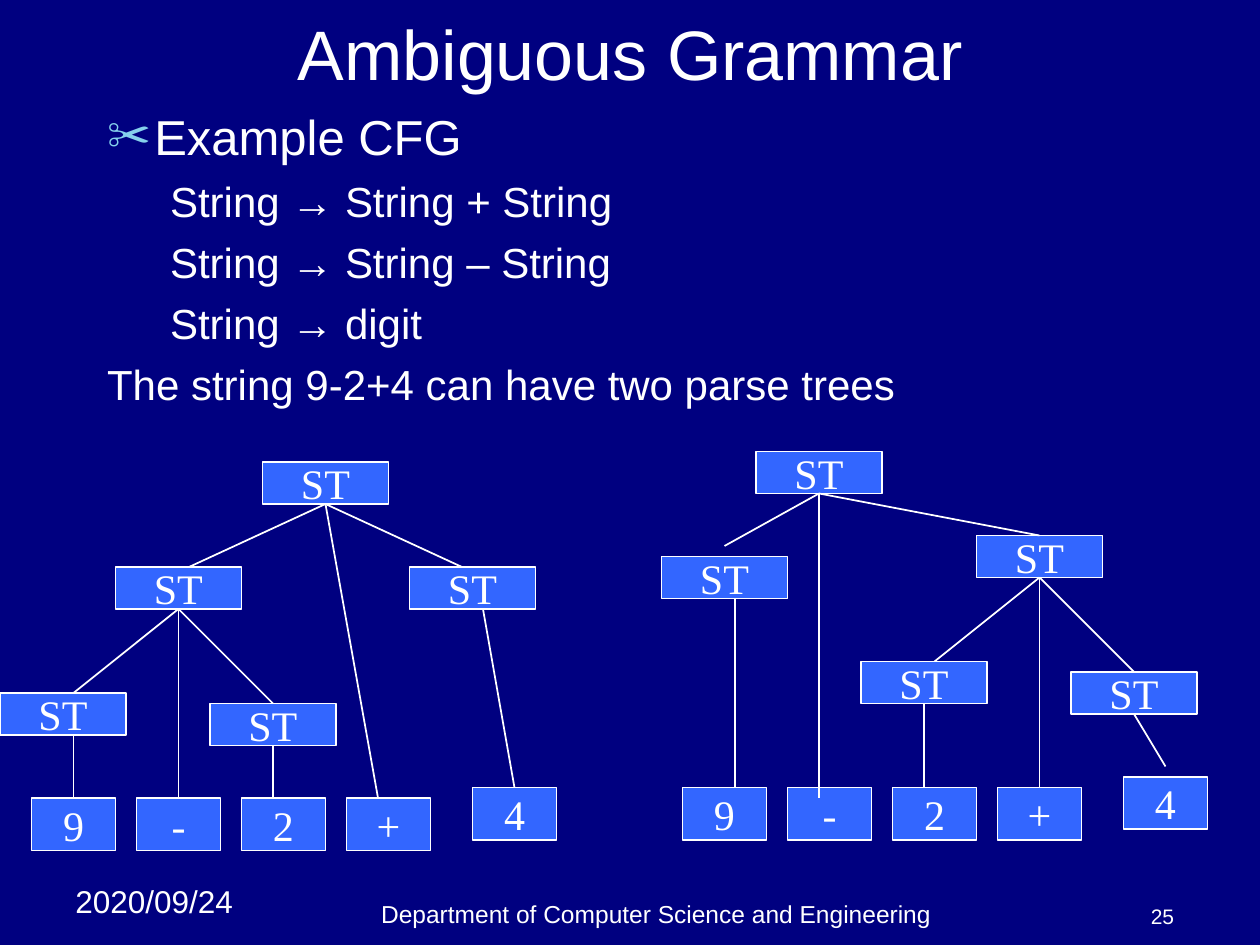
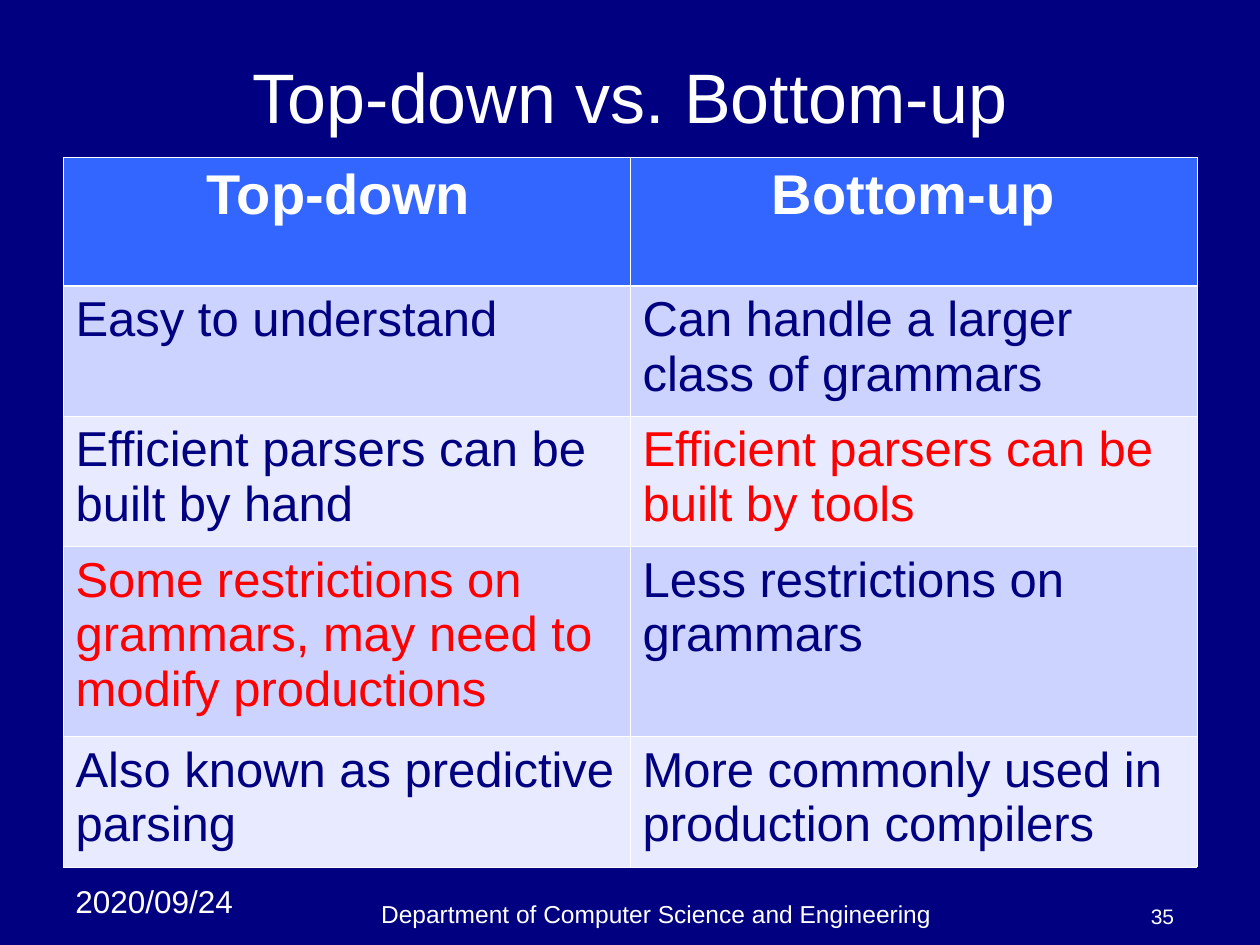
from dataclasses import dataclass

from lxml.etree import SubElement
from pptx import Presentation
from pptx.dml.color import RGBColor
from pptx.enum.shapes import MSO_CONNECTOR, MSO_SHAPE
from pptx.enum.text import MSO_ANCHOR, MSO_AUTO_SIZE, PP_ALIGN
from pptx.oxml.ns import qn
from pptx.util import Pt

NAVY, BLUE, WHITE, RED = "000080", "3366FF", "FFFFFF", "FF0000"
BULLET_BLUE = "86D1EC"
BANDS = ("CDD3FF", "E8EAFF")
TITLE_ONLY, TITLE_AND_BODY = 5, 1
TOP, BOTTOM = 0, 2


@dataclass(frozen=True)
class TextStyle:
    size: float
    color: str = WHITE
    font: str = "Arial"
    bold: bool = False
    align: PP_ALIGN = PP_ALIGN.LEFT


@dataclass(frozen=True)
class FooterPart:
    left: float
    top: float
    width: float
    height: float
    style: TextStyle
    anchor: MSO_ANCHOR = MSO_ANCHOR.BOTTOM


@dataclass(frozen=True)
class Node:
    text: str
    left: float
    top: float

    @property
    def width(self) -> float:
        return 72 if self.text == "ST" else 48

    @property
    def height(self) -> float:
        return 24 if self.text == "ST" else 30

    @property
    def center(self) -> float:
        return self.left + self.width / 2


@dataclass(frozen=True)
class Branch:
    """A line from parent to child; shifts move its ends off the side centres."""
    parent: str
    child: str
    start_shift: float = 0
    end_shift: float = 0
    end_drop: float = 0


@dataclass(frozen=True)
class Line:
    text: str
    size: float
    level: int = 0
    before: float = 6
    bullet: str = ""


TITLE = TextStyle(40, align=PP_ALIGN.CENTER)
NODE = TextStyle(24, font="Times New Roman", align=PP_ALIGN.CENTER)
HEADER = TextStyle(32, bold=True, align=PP_ALIGN.CENTER)
DATE = FooterPart(36, 500.4, 114, 29, TextStyle(18), MSO_ANCHOR.TOP)
DEPARTMENT = FooterPart(132, 510, 486, 24, TextStyle(14, align=PP_ALIGN.CENTER))
NUMBER = FooterPart(630, 510, 48, 24, TextStyle(12, align=PP_ALIGN.RIGHT))

GRAMMAR = (
    Line("Example CFG", 28, before=7, bullet="✂"),
    Line("String → String + String", 24, level=1),
    Line("String → String – String", 24, level=1),
    Line("String → digit", 24, level=1),
    Line("The string 9-2+4 can have two parse trees", 24),
)
# Left margin and first-line indent for each list level
INDENTS = ((27, -27), (58.5, -22.5))

LEFT_NODES = {
    "root": Node("ST", 150, 264),
    "difference": Node("ST", 66, 324),
    "right": Node("ST", 234, 324),
    "first": Node("ST", 0, 396),
    "second": Node("ST", 120, 402),
    "4": Node("4", 270, 450),
}
LEFT_BRANCHES = (
    Branch("root", "difference", end_shift=6),
    Branch("root", "+", end_shift=-6),
    Branch("root", "right", end_shift=-6),
    Branch("difference", "first", end_shift=6),
    Branch("difference", "-"),
    Branch("difference", "second"),
    Branch("first", "9", start_shift=6),
    Branch("second", "2", end_shift=-6),
    Branch("right", "4", start_shift=6),
)
RIGHT_NODES = {
    "root": Node("ST", 432, 258),
    "left": Node("ST", 378, 318),
    "sum": Node("ST", 558, 306),
    "second": Node("ST", 492, 378),
    "third": Node("ST", 612, 384),
    "4": Node("4", 642, 444),
}
RIGHT_BRANCHES = (
    Branch("root", "left", end_drop=-6),
    Branch("root", "sum"),
    Branch("root", "-", end_shift=-6, end_drop=6),
    Branch("left", "9", start_shift=6, end_shift=6),
    Branch("sum", "second", end_shift=6),
    Branch("sum", "+"),
    Branch("sum", "third"),
    Branch("second", "2", end_shift=-6),
    Branch("third", "4", end_drop=-6),
)

COMPARISON = (
    ("Top-down ", "Bottom-up"),
    ("Easy to understand", "Can handle a larger class of grammars"),
    ("Efficient parsers can be built by hand",
     "Efficient parsers can be built by tools"),
    ("Some restrictions on grammars, may need to modify productions",
     "Less restrictions on grammars"),
    ("Also known as predictive parsing",
     "More commonly used in production compilers"),
)
RED_CELLS = {(2, 1), (3, 0)}
ROW_HEIGHTS = (73.5, 74.3, 74.3, 108.5, 74.3)


def color(value: str) -> RGBColor:
    return RGBColor.from_string(value)


def write(para, text: str, style: TextStyle) -> None:
    para.text = text
    para.alignment = style.align
    para.font.size = Pt(style.size)
    para.font.name = style.font
    para.font.bold = style.bold
    para.font.color.rgb = color(style.color)


def place(shape, left: float, top: float, width: float, height: float) -> None:
    shape.left, shape.top = Pt(left), Pt(top)
    shape.width, shape.height = Pt(width), Pt(height)


def add_footer(page, part: FooterPart, text: str) -> None:
    box = page.shapes.add_textbox(
        Pt(part.left), Pt(part.top), Pt(part.width), Pt(part.height))
    box.text_frame.word_wrap = True
    box.text_frame.vertical_anchor = part.anchor
    write(box.text_frame.paragraphs[0], text, part.style)


def add_page(deck, layout: int, title: str, number: int, title_area: tuple):
    page = deck.slides.add_slide(deck.slide_layouts[layout])
    heading = page.shapes.title
    place(heading, *title_area)
    heading.text_frame.auto_size = MSO_AUTO_SIZE.NONE
    heading.text_frame.vertical_anchor = MSO_ANCHOR.MIDDLE
    write(heading.text_frame.paragraphs[0], title, TITLE)
    add_footer(page, DATE, "2020/09/24")
    add_footer(page, DEPARTMENT, "Department of Computer Science and Engineering")
    add_footer(page, NUMBER, str(number))
    return page


def set_bullet(para, line: Line) -> None:
    properties = para._p.get_or_add_pPr()
    margin, indent = INDENTS[line.level]
    properties.set("marL", str(Pt(margin)))
    properties.set("indent", str(Pt(indent)))
    if line.bullet:
        tint = SubElement(properties, qn("a:buClr"))
        SubElement(tint, qn("a:srgbClr"), val=BULLET_BLUE)
        SubElement(properties, qn("a:buSzPct"), val="90000")
        SubElement(properties, qn("a:buChar"), char=line.bullet)
    else:
        SubElement(properties, qn("a:buNone"))


def fill_body(body, lines: tuple[Line, ...]) -> None:
    frame = body.text_frame
    frame.auto_size = MSO_AUTO_SIZE.NONE
    for index, line in enumerate(lines):
        para = frame.add_paragraph() if index else frame.paragraphs[0]
        para.level = line.level
        para.space_before = Pt(line.before)
        set_bullet(para, line)
        write(para, line.text, TextStyle(line.size))


def add_node(page, node: Node):
    box = page.shapes.add_shape(MSO_SHAPE.RECTANGLE, Pt(node.left), Pt(node.top),
                                Pt(node.width), Pt(node.height))
    box.shadow.inherit = False
    box.fill.solid()
    box.fill.fore_color.rgb = color(BLUE)
    box.line.color.rgb = color(WHITE)
    box.line.width = Pt(1)
    box.text_frame.word_wrap = False
    box.text_frame.vertical_anchor = MSO_ANCHOR.MIDDLE
    write(box.text_frame.paragraphs[0], node.text, NODE)
    return box


def add_tree(page, nodes: dict[str, Node], branches: tuple[Branch, ...],
             leaf_left: float, leaf_top: float) -> None:
    # The first four leaves stand in an even row
    leaves = {text: Node(text, leaf_left + 60 * index, leaf_top)
              for index, text in enumerate("9-2+")}
    nodes = nodes | leaves
    boxes = {name: add_node(page, node) for name, node in nodes.items()}
    for branch in branches:
        parent, child = nodes[branch.parent], nodes[branch.child]
        link = page.shapes.add_connector(
            MSO_CONNECTOR.STRAIGHT,
            Pt(parent.center + branch.start_shift), Pt(parent.top + parent.height),
            Pt(child.center + branch.end_shift), Pt(child.top + branch.end_drop))
        link.line.color.rgb = color(WHITE)
        link.line.width = Pt(1)
        SubElement(link._element.spPr, qn("a:effectLst"))
        if not branch.start_shift:
            link.begin_connect(boxes[branch.parent], BOTTOM)
        if not (branch.end_shift or branch.end_drop):
            link.end_connect(boxes[branch.child], TOP)


def set_borders(cell, row: int) -> None:
    widths = {"L": 0.45, "R": 0.45,
              "T": 1.47 if row == 1 else 0.45, "B": 1.47 if row == 0 else 0.45}
    properties = cell._tc.get_or_add_tcPr()
    for side, width in widths.items():
        border = SubElement(properties, qn(f"a:ln{side}"), w=str(Pt(width)))
        SubElement(SubElement(border, qn("a:solidFill")), qn("a:srgbClr"), val=WHITE)


def add_comparison(page) -> None:
    table = page.shapes.add_table(len(COMPARISON), 2, Pt(36), Pt(90),
                                  Pt(648), Pt(sum(ROW_HEIGHTS))).table
    # Drop the banded table style
    table.first_row = table.horz_banding = False
    properties = table._tbl.tblPr
    properties.remove(properties.find(qn("a:tableStyleId")))
    for row, texts in enumerate(COMPARISON):
        table.rows[row].height = Pt(ROW_HEIGHTS[row])
        for column, text in enumerate(texts):
            cell = table.cell(row, column)
            set_borders(cell, row)
            cell.fill.solid()
            cell.fill.fore_color.rgb = color(BANDS[(row - 1) % 2] if row else BLUE)
            ink = RED if (row, column) in RED_CELLS else NAVY
            write(cell.text_frame.paragraphs[0], text,
                  TextStyle(28, ink) if row else HEADER)


def main() -> None:
    deck = Presentation()
    deck.slide_width, deck.slide_height = Pt(720), Pt(540)
    background = deck.slide_master.background.fill
    background.solid()
    background.fore_color.rgb = color(NAVY)

    # Grammar with its two parse trees
    page = add_page(deck, TITLE_AND_BODY, "Ambiguous Grammar", 25, (54, 3, 612, 54))
    body = page.placeholders[1]
    place(body, 54, 57, 624, 447)
    fill_body(body, GRAMMAR)
    add_tree(page, LEFT_NODES, LEFT_BRANCHES, 18, 456)
    add_tree(page, RIGHT_NODES, RIGHT_BRANCHES, 390, 450)

    # Comparison of parsing methods
    page = add_page(deck, TITLE_ONLY, "Top-down vs. Bottom-up", 35,
                    (36, 21.6, 648, 66))
    add_comparison(page)
    deck.save("out.pptx")


if __name__ == "__main__":
    main()
